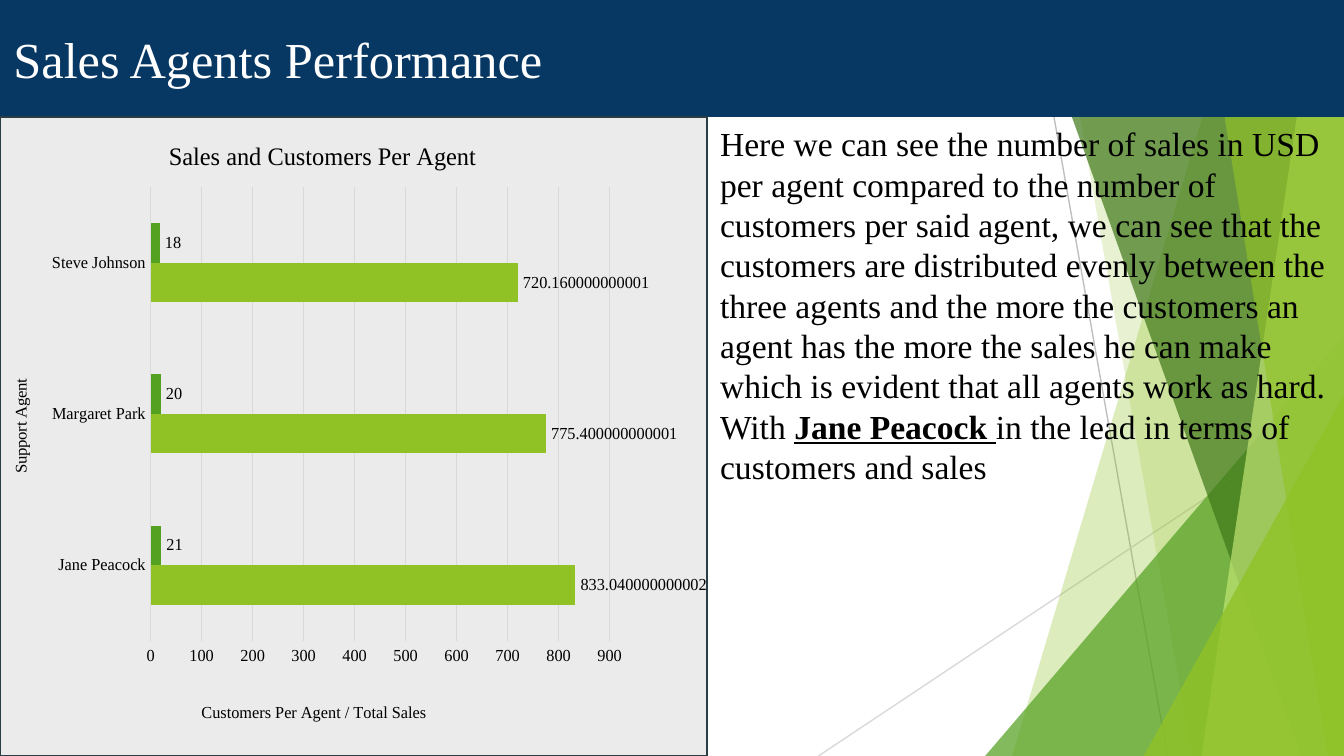
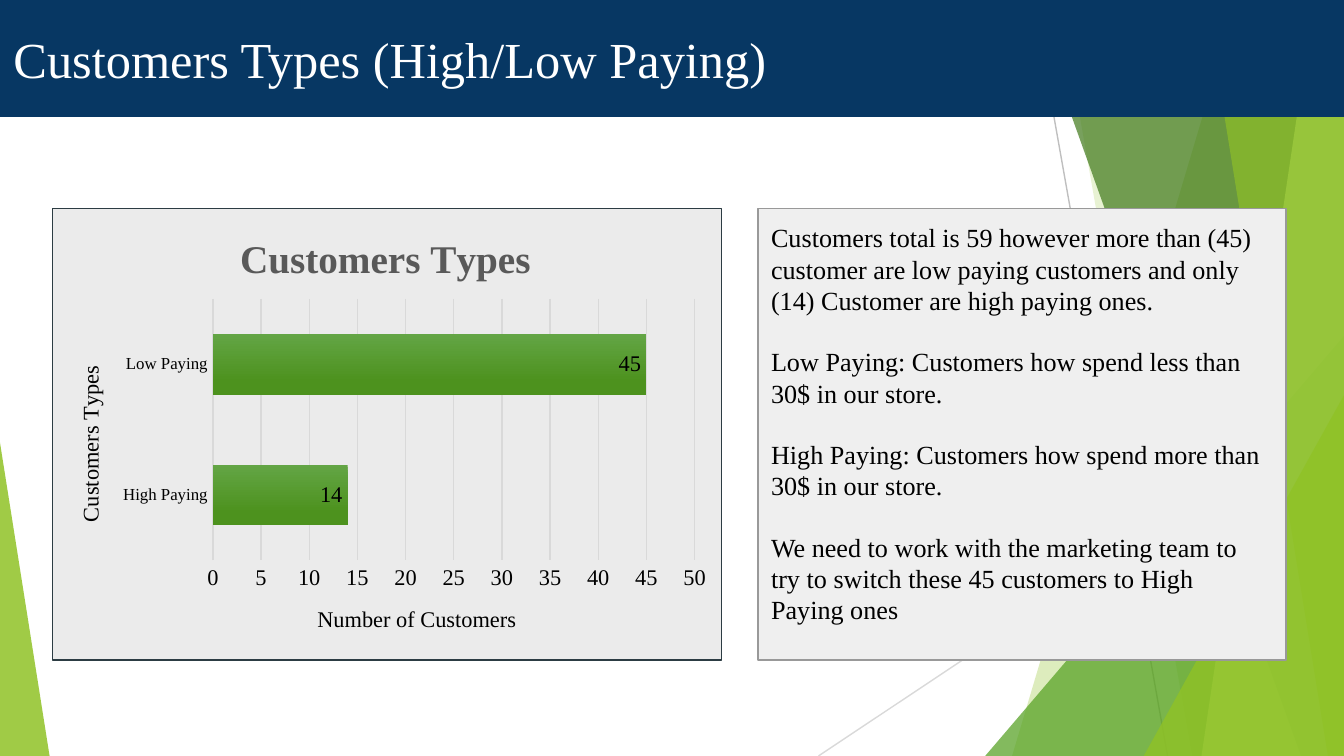
from collections import namedtuple
from dataclasses import dataclass

from lxml.etree import SubElement
from pptx import Presentation
from pptx.chart.data import CategoryChartData
from pptx.dml.color import RGBColor
from pptx.enum.chart import XL_CHART_TYPE as ChartType
from pptx.enum.chart import XL_LABEL_POSITION as LabelPosition
from pptx.enum.chart import XL_TICK_MARK as TickMark
from pptx.enum.shapes import MSO_CONNECTOR as Connector
from pptx.enum.shapes import MSO_SHAPE as Preset
from pptx.enum.text import MSO_ANCHOR as Anchor
from pptx.enum.text import MSO_AUTO_SIZE as AutoSize
from pptx.enum.text import PP_ALIGN as Align
from pptx.oxml.ns import qn
from pptx.util import Pt

Box = namedtuple("Box", "left top width height")
WIDTH, HEIGHT, BAND = 720, 405, 62.6


@dataclass(frozen=True)
class Theme:
    font: str = "Times New Roman"
    navy: str = "073763"
    white: str = "FFFFFF"
    black: str = "000000"
    gray_text: str = "595959"
    panel: str = "EBEBEB"
    panel_line: str = "2C3C43"
    note: str = "EFEFEF"
    note_line: str = "999999"
    grid: str = "D9D9D9"
    ray: str = "BFBFBF"
    lime: str = "90C226"
    green: str = "54A021"
    forest: str = "3F7819"
    pale: str = "C0E474"
    gradient: tuple = ((0, "63A545"), (0.78, "4D921E"))
    title: int = 27
    body: int = 18
    note_size: int = 14
    chart_title: float = 13.5
    large_chart_title: int = 21
    chart_base: int = 10
    label: int = 9
    large_label: int = 12
    line: float = 0.75


@dataclass(frozen=True)
class ChartStyle:
    title: str
    title_size: float
    title_color: str
    title_bold: bool
    category_title: str
    value_title: str
    text_size: int
    value_max: int
    value_step: int
    gap: int
    overlap: int
    label_position: object
    fills: tuple
    plot_layout: tuple
    title_layout: tuple
    category_layout: tuple
    value_layout: tuple


THEME = Theme()


def rgb(color):
    return RGBColor.from_string(color)


def points(values):
    return [Pt(value) for value in values]


def set_font(font, size, color=THEME.black, bold=False):
    font.name, font.size, font.bold = THEME.font, Pt(size), bold
    font.color.rgb = rgb(color)


def paint(shape, fill, line=None, opacity=100):
    shape.shadow.inherit = False
    shape.fill.solid()
    shape.fill.fore_color.rgb = rgb(fill)
    if opacity < 100:
        color = shape.element.spPr.find(".//" + qn("a:srgbClr"))
        SubElement(color, qn("a:alpha")).set("val", str(opacity * 1000))
    if line:
        shape.line.color.rgb = rgb(line)
        shape.line.width = Pt(THEME.line)
    else:
        shape.line.fill.background()


def add_ray(shapes, start, end, color):
    ray = shapes.add_connector(Connector.STRAIGHT, *points(start + end))
    ray.line.color.rgb = rgb(color)
    ray.line.width = Pt(THEME.line)
    SubElement(ray.element.spPr, qn("a:effectLst"))


def add_facet(shapes, top_x, bottom_x, color, opacity):
    builder = shapes.build_freeform(Pt(top_x), Pt(-0.75))
    corners = ((WIDTH, -0.75), (WIDTH, HEIGHT), (bottom_x, HEIGHT))
    builder.add_line_segments([points(corner) for corner in corners])
    paint(builder.convert_to_shape(), color, opacity=opacity)


def add_corner(shapes, box, peak, color, opacity):
    corner = shapes.add_shape(Preset.ISOSCELES_TRIANGLE, *points(box))
    corner.adjustments[0] = peak
    paint(corner, color, opacity=opacity)


def decorate_layout(layout, slide):
    group = slide.shapes.add_group_shape()
    shapes = group.shapes
    add_ray(shapes, (553.5, 0), (625.5, HEIGHT), THEME.ray)
    add_ray(shapes, (WIDTH, 217.5), (438.5, HEIGHT), THEME.grid)
    add_facet(shapes, 663.1, 542.2, THEME.lime, 30)
    add_facet(shapes, 567.4, 638.6, THEME.lime, 20)
    add_corner(shapes, Box(527.8, 180, 192.2, 225), 1, THEME.green, 72)
    add_facet(shapes, 551.5, 697, THEME.forest, 70)
    add_facet(shapes, 704.2, 643.7, THEME.pale, 70)
    add_facet(shapes, 645.8, 711.4, THEME.lime, 65)
    add_corner(shapes, Box(612.7, 211.7, 107.3, 193.3), 1, THEME.lime, 80)
    add_corner(shapes, Box(0, 237, 26.6, 168), 0, THEME.lime, 85)
    for number, properties in enumerate(group.element.iter(qn("p:cNvPr")), 100):
        properties.set("id", str(number))
    layout.element.find(".//" + qn("p:spTree")).insert(2, group.element)


def add_title(slide, box, text):
    title = slide.shapes.title
    title.left, title.top, title.width, title.height = points(box)
    title.fill.solid()
    title.fill.fore_color.rgb = rgb(THEME.navy)
    frame = title.text_frame
    frame.text = text
    frame.auto_size = AutoSize.NONE
    frame.vertical_anchor = Anchor.MIDDLE
    frame.margin_left = frame.margin_right = Pt(7.2)
    frame.margin_top = frame.margin_bottom = Pt(7.2)
    paragraph = frame.paragraphs[0]
    paragraph.alignment = Align.LEFT
    set_font(paragraph.font, THEME.title, THEME.white)


def add_text(slide, box, paragraphs, size, space_after=0):
    shape = slide.shapes.add_textbox(*points(box))
    frame = shape.text_frame
    frame.word_wrap = True
    for index, runs in enumerate(paragraphs):
        paragraph = frame.add_paragraph() if index else frame.paragraphs[0]
        set_font(paragraph.font, size)
        paragraph.space_after = Pt(space_after)
        for text, emphasized in runs:
            run = paragraph.add_run()
            run.text = text
            if emphasized:
                run.font.bold = run.font.underline = True
    return shape


def add_note(slide, box, texts):
    note = add_text(slide, box, [[(text, False)] for text in texts], THEME.note_size, 16)
    paint(note, THEME.note, THEME.note_line)
    frame = note.text_frame
    frame.margin_top = frame.margin_bottom = Pt(7.2)


def set_layout(parent, index, fractions, inner=False):
    for old in parent.findall(qn("c:layout")):
        parent.remove(old)
    layout = SubElement(parent, qn("c:layout"))
    parent.insert(index, layout)
    manual = SubElement(layout, qn("c:manualLayout"))
    if inner:
        SubElement(manual, qn("c:layoutTarget")).set("val", "inner")
    for name in ("xMode", "yMode"):
        SubElement(manual, qn("c:" + name)).set("val", "edge")
    for name, fraction in zip("xywh", fractions):
        SubElement(manual, qn("c:" + name)).set("val", str(fraction))


def format_chart_title(title, text, size, layout, color=THEME.black, bold=False):
    title.text_frame.text = text
    set_font(title.text_frame.paragraphs[0].font, size, color, bold)
    set_layout(title.element, 1, layout)


def format_axis(axis, title, size, layout, label_size):
    axis.major_tick_mark = axis.minor_tick_mark = TickMark.NONE
    set_font(axis.tick_labels.font, label_size)
    format_chart_title(axis.axis_title, title, size, layout)


def format_series(series, fill, style):
    if isinstance(fill, str):
        series.format.fill.solid()
        series.format.fill.fore_color.rgb = rgb(fill)
    else:
        series.format.fill.gradient()
        series.format.fill.gradient_angle = 270
        for stop, (position, color) in zip(series.format.fill.gradient_stops, fill):
            stop.position = position
            stop.color.rgb = rgb(color)
    labels = series.data_labels
    labels.show_value = True
    labels.position = style.label_position
    set_font(labels.font, style.text_size)


def add_bar_panel(slide, box, categories, series_values, style):
    panel = slide.shapes.add_shape(Preset.RECTANGLE, *points(box))
    paint(panel, THEME.panel, THEME.panel_line)
    data = CategoryChartData()
    data.categories = categories
    for number, values in enumerate(series_values, 1):
        data.add_series(f"Series {number}", values)
    chart = slide.shapes.add_chart(ChartType.BAR_CLUSTERED, *points(box), data).chart
    chart.has_legend = False
    set_font(chart.font, THEME.chart_base)
    background = SubElement(chart.element, qn("c:spPr"))
    SubElement(background, qn("a:noFill"))
    SubElement(SubElement(background, qn("a:ln")), qn("a:noFill"))
    chart.element.find(qn("c:txPr")).addprevious(background)
    format_chart_title(chart.chart_title, style.title, style.title_size,
                       style.title_layout, style.title_color, style.title_bold)
    set_layout(chart.element.find(".//" + qn("c:plotArea")), 0, style.plot_layout, True)
    category, value = chart.category_axis, chart.value_axis
    format_axis(category, style.category_title, style.text_size,
                style.category_layout, THEME.label)
    format_axis(value, style.value_title, style.text_size,
                style.value_layout, style.text_size)
    rotation = category.axis_title.element.find(".//" + qn("a:bodyPr"))
    rotation.set("rot", "-5400000")
    rotation.set("vert", "horz")
    value.minimum_scale, value.maximum_scale = 0, style.value_max
    value.major_unit = style.value_step
    value.format.line.fill.background()
    value.has_major_gridlines = True
    for line in (category.format.line, value.major_gridlines.format.line):
        line.color.rgb = rgb(THEME.grid)
        line.width = Pt(THEME.line)
    plot = chart.plots[0]
    plot.vary_by_categories = False
    plot.gap_width, plot.overlap = style.gap, style.overlap
    for series, fill in zip(plot.series, style.fills):
        format_series(series, fill, style)


AGENT_STYLE = ChartStyle(
    "Sales and Customers Per Agent", THEME.chart_title, THEME.black, False,
    "Support Agent", "Customers Per Agent / Total Sales", THEME.label,
    900, 100, 182, 0, LabelPosition.OUTSIDE_END, (THEME.lime, THEME.green),
    (0.22, 0.11, 0.67, 0.71), (0.24, 0.03), (0.01, 0.4), (0.29, 0.91))
CUSTOMER_STYLE = ChartStyle(
    "Customers Types", THEME.large_chart_title, THEME.gray_text, True,
    "Customers Types", "Number of Customers", THEME.large_label,
    50, 5, 115, -20, LabelPosition.INSIDE_END, (THEME.gradient,),
    (0.24, 0.2, 0.72, 0.58), (0.27, 0.04), (0.03, 0.34), (0.39, 0.87))


def build_agents(slide, box):
    add_title(slide, Box(0, 0, WIDTH, BAND), "Sales Agents Performance")
    chart_width = 378.7
    add_text(slide, Box(box.left + chart_width, box.top, box.width - chart_width, 203.8), [
        [("Here we can see the number of sales in USD per agent compared to the number of "
          "customers per said agent, we can see that the customers are distributed evenly "
          "between the three agents and the more the customers an agent has the more the "
          "sales he can make which is evident that all agents work as hard.", False)],
        [("With ", False), ("Jane Peacock ", True),
         ("in the lead in terms of customers and sales", False)],
    ], THEME.body)
    add_bar_panel(slide, box._replace(width=chart_width),
                  ("Jane Peacock", "Margaret Park", "Steve Johnson"),
                  ((833.040000000002, 775.400000000001, 720.160000000001), (21, 20, 18)),
                  AGENT_STYLE)


def build_customers(slide, box):
    add_title(slide, Box(0, 0, WIDTH, BAND), "Customers Types (High/Low Paying)")
    top, height = box.top + 49, 242
    add_note(slide, Box(box.left + 406, top, 283, height), (
        "Customers total is 59 however more than (45) customer are low paying customers "
        "and only (14) Customer are high paying ones.",
        "Low Paying: Customers how spend less than 30$ in our store.",
        "High Paying: Customers how spend more than 30$ in our store.",
        "We need to work with the marketing team to try to switch these 45 customers "
        "to High Paying ones"))
    add_bar_panel(slide, Box(box.left + 28, top, 358.5, height),
                  ("High Paying", "Low Paying"), ((14, 45),), CUSTOMER_STYLE)


presentation = Presentation()
presentation.slide_width, presentation.slide_height = Pt(WIDTH), Pt(HEIGHT)
title_only = presentation.slide_layouts[5]
content = Box(0, BAND, WIDTH, HEIGHT - BAND)
slides = [presentation.slides.add_slide(title_only) for _ in range(2)]
decorate_layout(title_only, slides[0])
build_agents(slides[0], content)
build_customers(slides[1], content)
presentation.save("out.pptx")
